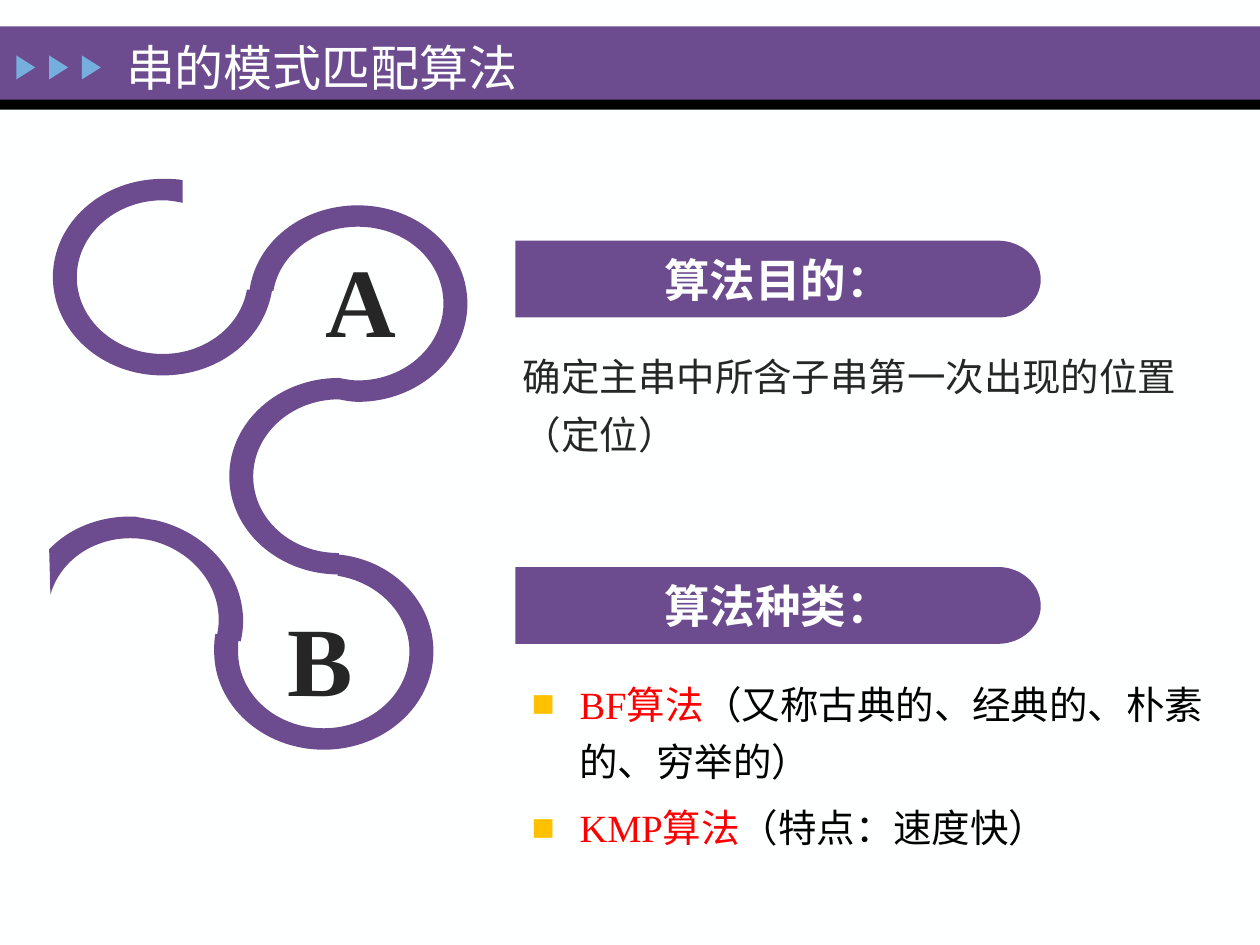
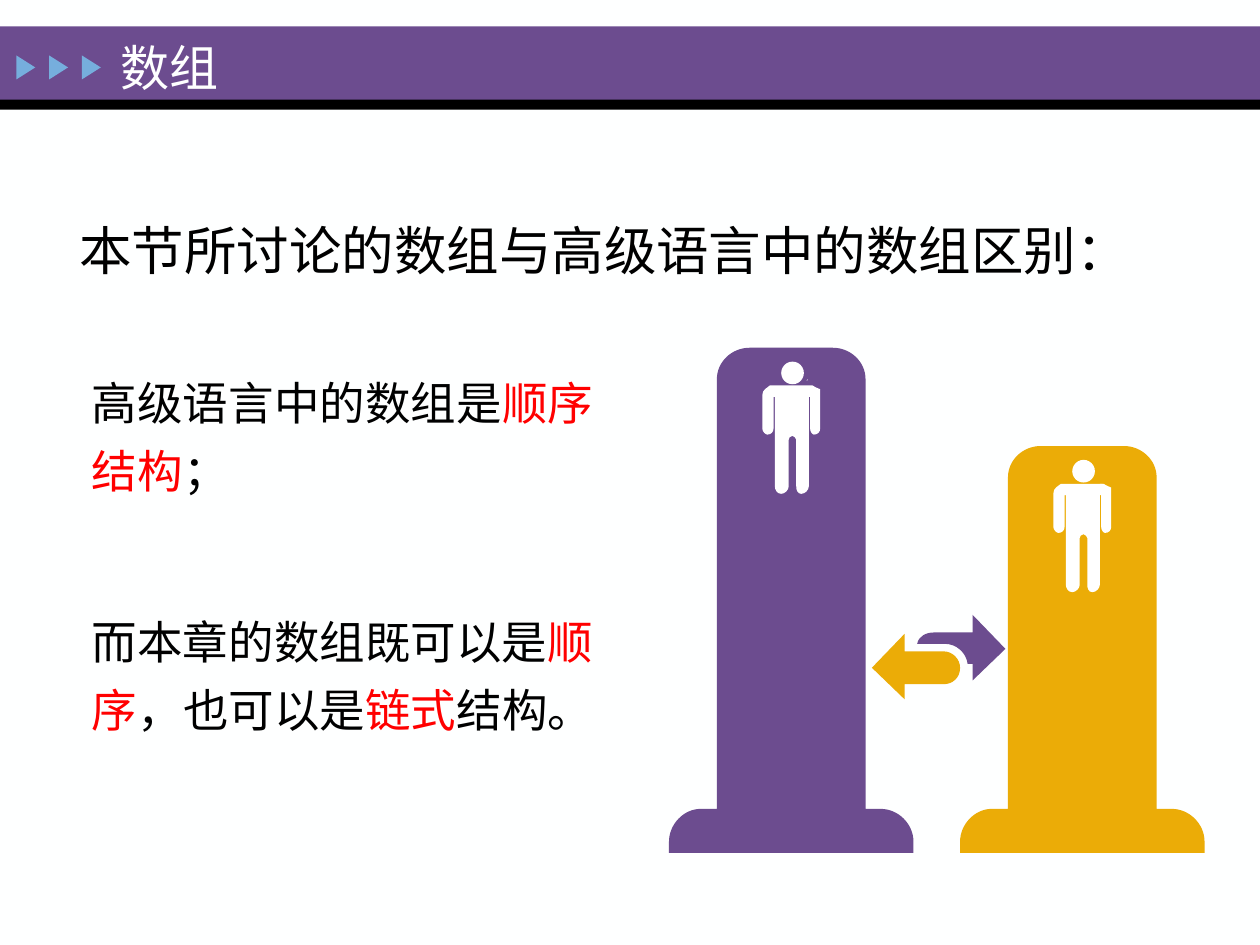
"""Build two slides on string matching and arrays."""
from dataclasses import dataclass
from typing import Any, Sequence

from lxml import etree
from pptx import Presentation
from pptx.dml.color import RGBColor
from pptx.enum.shapes import MSO_SHAPE
from pptx.enum.text import MSO_ANCHOR, MSO_AUTO_SIZE, PP_ALIGN
from pptx.oxml.ns import qn
from pptx.util import Inches, Pt

RECTANGLE = MSO_SHAPE.RECTANGLE
TRIANGLE = MSO_SHAPE.ISOSCELES_TRIANGLE
ELLIPSE = MSO_SHAPE.OVAL
MIDDLE, TOP = MSO_ANCHOR.MIDDLE, MSO_ANCHOR.TOP
LEFT, CENTER = PP_ALIGN.LEFT, PP_ALIGN.CENTER
NO_AUTOFIT = MSO_AUTO_SIZE.NONE

PAPER = RGBColor(0xFE, 0xFF, 0xFF)
WHITE = RGBColor(0xFF, 0xFF, 0xFF)
BLACK = RGBColor(0x00, 0x00, 0x00)
INK = RGBColor(0x26, 0x26, 0x26)
PURPLE = RGBColor(0x6C, 0x4C, 0x8F)
SKY = RGBColor(0x76, 0xAE, 0xDD)
GOLD = RGBColor(0xEB, 0xAC, 0x07)
RED = RGBColor(0xFF, 0x00, 0x00)
BULLET_COLOR = "FFC000"
FONT = "Times New Roman"

WIDE_INSETS = (0.13, 0.06)
NORMAL_INSETS = (0.1, 0.05)
BASE_TOP, BASE_BOTTOM = 6.42, 6.77
MASTER_FIRST_ID = 101

Area = tuple[float, float, float, float]
Outline = Sequence[tuple[float, ...]]
Spans = Sequence[tuple[str, RGBColor]]


@dataclass(frozen=True)
class Pillar:
    """A pillar on a rounded base with a person near its top."""
    x: float
    top: float
    color: RGBColor


@dataclass(frozen=True)
class Section:
    """A round-ended heading with its loop letter."""
    heading: str
    top: float
    letter: str
    letter_area: Area


@dataclass(frozen=True)
class TextStyle:
    """Settings shared by the paragraphs of one text frame."""
    size: float
    bold: bool = False
    align: Any = LEFT
    line_spacing: float = 1.0
    gap: float = 0
    anchor: Any = TOP
    insets: tuple[float, float] = NORMAL_INSETS
    bulleted: bool = False


TITLE_STYLE = TextStyle(28, anchor=MIDDLE)
HEADING_STYLE = TextStyle(26, bold=True, align=CENTER, anchor=MIDDLE, insets=WIDE_INSETS)
LETTER_STYLE = TextStyle(56, bold=True, insets=WIDE_INSETS)
PURPOSE_STYLE = TextStyle(22, line_spacing=1.25, insets=WIDE_INSETS)
KINDS_STYLE = TextStyle(22, line_spacing=1.25, gap=4.4, insets=WIDE_INSETS, bulleted=True)
LEAD_STYLE = TextStyle(30, line_spacing=1.25)
CONTRAST_STYLE = TextStyle(26, line_spacing=1.25, gap=58.5)

WINDING_BAND = (
    ((2.84, 1.63), (3.32, 1.63, 3.71, 1.98, 3.71, 2.41), (3.71, 2.84, 3.32, 3.19, 2.84, 3.19),
     (2.79, 3.19, 2.74, 3.18, 2.69, 3.17), (2.69, 3), (2.74, 3.01, 2.79, 3.02, 2.84, 3.02),
     (3.22, 3.02, 3.52, 2.74, 3.52, 2.41), (3.52, 2.07, 3.22, 1.8, 2.84, 1.8),
     (2.5, 1.8, 2.22, 2.02, 2.17, 2.31), (1.98, 2.31), (2.03, 1.92, 2.4, 1.63, 2.84, 1.63)),
    ((2.69, 3), (2.69, 3.17), (2.31, 3.17, 2.01, 3.45, 2.01, 3.78),
     (2.01, 4.12, 2.31, 4.39, 2.69, 4.39), (2.69, 4.56),
     (2.21, 4.56, 1.82, 4.21, 1.82, 3.78), (1.82, 3.35, 2.21, 3, 2.69, 3)),
    ((3.44, 5.17), (3.44, 5.6, 3.05, 5.95, 2.57, 5.95), (2.09, 5.95, 1.7, 5.6, 1.7, 5.17),
     (1.7, 5.12, 1.7, 5.08, 1.71, 5.03), (1.9, 5.03), (1.89, 5.08, 1.89, 5.12, 1.89, 5.17),
     (1.89, 5.51, 2.19, 5.78, 2.57, 5.78), (2.94, 5.78, 3.25, 5.51, 3.25, 5.17),
     (3.25, 4.87, 3, 4.62, 2.68, 4.57), (2.68, 4.4), (3.11, 4.44, 3.44, 4.77, 3.44, 5.17)),
    ((1.29, 2.98), (0.81, 2.98, 0.42, 2.63, 0.42, 2.2), (0.42, 1.77, 0.81, 1.42, 1.29, 1.42),
     (1.35, 1.42, 1.4, 1.42, 1.45, 1.43), (1.45, 1.61), (1.4, 1.6, 1.35, 1.59, 1.29, 1.59),
     (0.92, 1.59, 0.61, 1.86, 0.61, 2.2), (0.61, 2.54, 0.92, 2.81, 1.29, 2.81),
     (1.63, 2.81, 1.91, 2.59, 1.96, 2.3), (2.16, 2.3), (2.1, 2.69, 1.74, 2.98, 1.29, 2.98)),
    ((1.07, 4.1), (1.12, 4.11, 1.18, 4.12, 1.24, 4.13), (1.71, 4.24, 2.01, 4.67, 1.91, 5.09),
     (1.72, 5.05), (1.8, 4.72, 1.57, 4.38, 1.2, 4.29), (0.84, 4.21, 0.49, 4.4, 0.4, 4.72),
     (0.39, 4.36), (0.55, 4.19, 0.8, 4.09, 1.07, 4.1)),
)
SECTIONS = (
    Section("算法目的：", 1.91, "A", (2.45, 1.84, 0.64, 1.07)),
    Section("算法种类：", 4.5, "B", (2.15, 4.69, 0.64, 1.07)),
)
PILLARS = (Pillar(6.28, 2.76, PURPLE), Pillar(8.59, 3.54, GOLD))
PERSON = (
    (0.46, 0.03), (0.44, 0.02, 0.43, 0.02, 0.4, 0), (0.06, 0),
    (0.04, 0.02, 0, 0.03, 0, 0.08), (0, 0.34),
    (0, 0.37, 0.03, 0.39, 0.04, 0.39), (0.07, 0.39, 0.09, 0.37, 0.09, 0.34),
    (0.09, 0.09), (0.1, 0.09), (0.1, 0.8),
    (0.1, 0.83, 0.12, 0.86, 0.15, 0.86), (0.18, 0.86, 0.21, 0.83, 0.21, 0.8),
    (0.21, 0.43), (0.21, 0.42, 0.22, 0.4, 0.24, 0.4),
    (0.25, 0.4, 0.27, 0.42, 0.27, 0.43), (0.27, 0.8),
    (0.27, 0.83, 0.28, 0.86, 0.31, 0.86), (0.34, 0.86, 0.37, 0.83, 0.37, 0.8),
    (0.37, 0.09), (0.38, 0.09), (0.38, 0.34),
    (0.38, 0.37, 0.4, 0.39, 0.41, 0.39), (0.44, 0.39, 0.46, 0.37, 0.46, 0.34),
    (0.46, 0.08), (0.46, 0.06, 0.46, 0.05, 0.46, 0.03),
)
SPECKS = (
    ((6.4, 3.02), (6.41, 3.02), (6.41, 3.01)),
    ((8.73, 3.84), (8.75, 3.84), (8.73, 3.84)),
)
LEFT_ARROW = (
    (7.18, 5.17), (7.18, 5.03), (6.92, 5.3), (7.18, 5.55), (7.18, 5.43), (7.49, 5.43),
    (7.56, 5.43, 7.62, 5.38, 7.62, 5.3), (7.62, 5.23, 7.56, 5.17, 7.49, 5.17), (7.18, 5.17),
)
RIGHT_ARROW = (
    (7.5, 5.11), (7.28, 5.11), (7.29, 5.05, 7.35, 5.02, 7.41, 5.02), (7.72, 5.02),
    (7.72, 4.88), (7.98, 5.15), (7.72, 5.4), (7.72, 5.27), (7.68, 5.27),
    (7.67, 5.18, 7.59, 5.11, 7.5, 5.11),
)


def apply(target: Any, values: dict[str, Any]) -> None:
    """Set each named attribute on the target."""
    for name, value in values.items():
        setattr(target, name, value)


def paint(shape: Any, color: RGBColor) -> Any:
    """Give a shape a flat fill with no line or shadow."""
    shape.shadow.inherit = False
    shape.fill.solid()
    shape.fill.fore_color.rgb = color
    shape.line.fill.background()
    return shape


def place(shape: Any, area: Area) -> None:
    """Move and size a shape in inches."""
    apply(shape, dict(zip(("left", "top", "width", "height"), map(Inches, area))))


def draw_preset(shapes: Any, kind: Any, area: Area, color: RGBColor) -> Any:
    """Draw a flat preset shape."""
    return paint(shapes.add_shape(kind, *map(Inches, area)), color)


def draw_outline(shapes: Any, outline: Outline, color: RGBColor) -> Any:
    """Draw a closed outline whose six-number steps are cubic curves."""
    ends = [(Inches(step[-2]), Inches(step[-1])) for step in outline]
    builder = shapes.build_freeform(*ends[0])
    builder.add_line_segments(ends[1:], close=True)
    shape = builder.convert_to_shape()
    left, top = (min(values) for values in zip(*ends))
    for line, step in zip(list(shape.element.iter(qn("a:lnTo"))), outline[1:]):
        if len(step) == 2:
            continue
        curve = etree.Element(qn("a:cubicBezTo"))
        for x, y in zip(step[::2], step[1::2]):
            etree.SubElement(curve, qn("a:pt"), x=str(Inches(x) - left), y=str(Inches(y) - top))
        line.getparent().replace(line, curve)
    return paint(shape, color)


def add_bullet(para: Any) -> None:
    """Give a paragraph a hanging square bullet."""
    props = para._p.get_or_add_pPr()
    for name, value in {"marL": Inches(0.38), "indent": -Inches(0.38)}.items():
        props.set(name, str(value))
    color = etree.SubElement(props, qn("a:buClr"))
    etree.SubElement(color, qn("a:srgbClr"), val=BULLET_COLOR)
    etree.SubElement(props, qn("a:buChar"), char="■")


def remove_bullet(para: Any) -> None:
    """Clear the bullet and indent of a paragraph."""
    props = para._p.get_or_add_pPr()
    for name in ("marL", "indent"):
        props.set(name, "0")
    etree.SubElement(props, qn("a:buNone"))


def write(shape: Any, paragraphs: Sequence[Spans], style: TextStyle) -> None:
    """Fill a shape with formatted paragraphs."""
    frame = shape.text_frame
    side, edge = map(Inches, style.insets)
    apply(frame, {"word_wrap": True, "auto_size": NO_AUTOFIT,
                  "vertical_anchor": style.anchor, "margin_left": side,
                  "margin_right": side, "margin_top": edge, "margin_bottom": edge})
    for index, spans in enumerate(paragraphs):
        para = frame.add_paragraph() if index else frame.paragraphs[0]
        (add_bullet if style.bulleted else remove_bullet)(para)
        apply(para, {"alignment": style.align, "line_spacing": style.line_spacing,
                     "space_before": Pt(style.gap if index else 0)})
        for text, color in spans:
            span = para.add_run()
            span.text = text
            apply(span.font, {"name": FONT, "size": Pt(style.size), "bold": style.bold})
            span.font.color.rgb = color


def add_text(page: Any, area: Area, spans: Spans, style: TextStyle) -> None:
    """Add a text box with one paragraph."""
    write(page.shapes.add_textbox(*map(Inches, area)), [spans], style)


def add_page(deck: Any, title: str, title_area: Area) -> Any:
    """Add a slide with its title."""
    page = deck.slides.add_slide(deck.slide_layouts[1])
    place(page.shapes.title, title_area)
    write(page.shapes.title, [[(title, PAPER)]], TITLE_STYLE)
    return page


def dress_master(deck: Any, page: Any) -> None:
    """Give the master its background, bands and triangles, drawn by way of a page."""
    master = deck.slide_master
    master.background.fill.solid()
    master.background.fill.fore_color.rgb = PAPER
    bands = [draw_preset(page.shapes, RECTANGLE, (0, 0.21, 10, 0.59), PURPLE),
             draw_preset(page.shapes, RECTANGLE, (0, 0.79, 10, 0.08), BLACK)]
    triangles = page.shapes.add_group_shape()
    for index in range(3):
        area = (0.11 + 0.26 * index, 0.46, 0.19, 0.15)
        draw_preset(triangles.shapes, TRIANGLE, area, SKY).rotation = 90
    number = MASTER_FIRST_ID
    for part in (*bands, triangles):
        for label in part.element.iter(qn("p:cNvPr")):
            label.set("id", str(number))
            number += 1
        master.shapes.element.append(part.element)


def fill_body(page: Any, area: Area, paragraphs: Sequence[Spans], style: TextStyle) -> None:
    """Place and fill the body placeholder."""
    body = page.placeholders[1]
    place(body, area)
    write(body, paragraphs, style)


def draw_section(page: Any, section: Section) -> None:
    """Draw a heading bar and its letter."""
    top, bottom = section.top, section.top + 0.61
    bar = ((4.09, top), (7.92, top), (8.11, top, 8.26, top + 0.14, 8.26, top + 0.31),
           (8.26, top + 0.47, 8.11, bottom, 7.92, bottom), (4.09, bottom))
    write(draw_outline(page.shapes, bar, PURPLE), [[(section.heading, PAPER)]], HEADING_STYLE)
    add_text(page, section.letter_area, [(section.letter, INK)], LETTER_STYLE)


def draw_pillar(shapes: Any, pillar: Pillar) -> None:
    """Draw a pillar and the person on it."""
    x, top = pillar.x, pillar.top
    shoulder = top + 0.25
    draw_outline(shapes, (
        (x - 0.97, BASE_BOTTOM), (x - 0.97, 6.68),
        (x - 0.97, 6.54, x - 0.85, BASE_TOP, x - 0.72, BASE_TOP),
        (x - 0.59, BASE_TOP), (x - 0.59, shoulder),
        (x - 0.59, top + 0.11, x - 0.47, top, x - 0.33, top), (x + 0.33, top),
        (x + 0.47, top, x + 0.59, top + 0.11, x + 0.59, shoulder),
        (x + 0.59, BASE_TOP), (x + 0.71, BASE_TOP),
        (x + 0.85, BASE_TOP, x + 0.97, 6.54, x + 0.97, 6.68), (x + 0.97, BASE_BOTTOM),
    ), pillar.color)
    left, neck = x - 0.23, top + 0.3
    draw_preset(shapes, ELLIPSE, (left + 0.15, neck - 0.19, 0.18, 0.18), WHITE)
    person = [tuple(v + (neck if i % 2 else left) for i, v in enumerate(step)) for step in PERSON]
    draw_outline(shapes, person, WHITE)


def build_matching_page(deck: Any) -> None:
    """Build the slide on pattern matching."""
    page = add_page(deck, "串的模式匹配算法", (0.9, -0.03, 5.24, 1.12))
    dress_master(deck, page)
    for bend in WINDING_BAND:
        draw_outline(page.shapes, bend, PURPLE)
    for section in SECTIONS:
        draw_section(page, section)
    add_text(page, (4.02, 2.65, 5.69, 1.01),
             [("确定主串中所含子串第一次出现的位置（定位）", INK)], PURPOSE_STYLE)
    fill_body(page, (4.09, 5.25, 5.62, 1.55), [
        [("BF算法", RED), ("（又称古典的、经典的、朴素的、穷举的）", BLACK)],
        [("KMP算法", RED), ("（特点：速度快）", BLACK)],
    ], KINDS_STYLE)


def build_array_page(deck: Any) -> None:
    """Build the slide on arrays."""
    page = add_page(deck, "数组", (0.86, 0.16, 6.38, 0.75))
    add_text(page, (0.53, 1.56, 8.51, 0.67),
             [("本节所讨论的数组与高级语言中的数组区别：", BLACK)], LEAD_STYLE)
    fill_body(page, (0.63, 2.82, 4.51, 3.07), [
        [("高级语言中的数组是", BLACK), ("顺序结构", RED), ("；", BLACK)],
        [("而本章的数组既可以是", BLACK), ("顺序", RED), ("，也可以是", BLACK),
         ("链式", RED), ("结构。", BLACK)],
    ], CONTRAST_STYLE)
    shapes = page.shapes.add_group_shape().shapes
    for pillar, speck in zip(PILLARS, SPECKS):
        draw_pillar(shapes, pillar)
        draw_outline(shapes, speck, WHITE)
    draw_outline(shapes, LEFT_ARROW, GOLD)
    draw_outline(shapes, RIGHT_ARROW, PURPLE)


def main() -> None:
    """Build and save the deck."""
    deck = Presentation()
    apply(deck, {"slide_width": Inches(10), "slide_height": Inches(7.5)})
    build_matching_page(deck)
    build_array_page(deck)
    deck.save("out.pptx")


if __name__ == "__main__":
    main()
